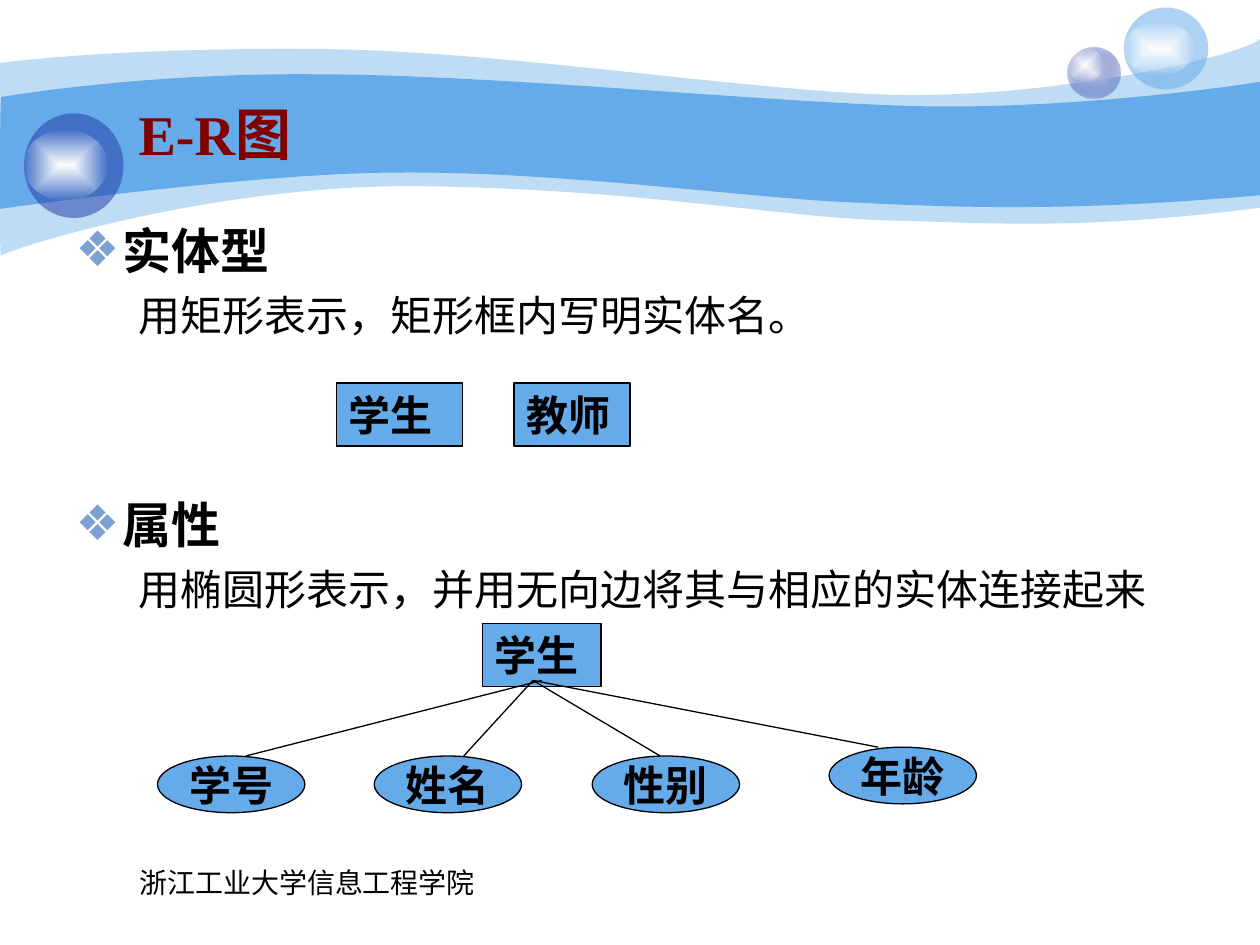
import pptx
import pptx.util
import pptx.dml.color
import pptx.enum.shapes
import pptx.enum.text
import pptx.oxml
import pptx.oxml.ns
from pptx.util import Inches

SKY, NAVY, LILAC, WHITE, BLACK = "65AAE9", "233DA9", "C7CEE9", "FFFFFF", "000000"
SERIF = "Times New Roman"
SHAPES = pptx.enum.shapes.MSO_SHAPE
ALIGN = pptx.enum.text.PP_ALIGN
ANCHOR = pptx.enum.text.MSO_ANCHOR
QN = pptx.oxml.ns.qn
NS = pptx.oxml.ns.nsdecls("a")


def color(value):
    """Turn a hex string into a colour."""
    return pptx.dml.color.RGBColor.from_string(value)


def paint(shape, value, opacity=100, line=False):
    """Give a shape a flat fill, with a thin black outline if asked."""
    shape.shadow.inherit = False
    shape.fill.solid()
    shape.fill.fore_color.rgb = color(value)
    if opacity < 100:
        tint = shape.element.spPr.find(QN("a:solidFill"))[0]
        tint.append(pptx.oxml.parse_xml(f'<a:alpha {NS} val="{opacity * 1000}"/>'))
    if line:
        shape.line.color.rgb = color(BLACK)
        shape.line.width = pptx.util.Pt(0.75)
    else:
        shape.line.fill.background()


def paint_glow(shape, inner, outer, opacity):
    """Fill a shape with a gradient that fades from its centre to its edge."""
    paint(shape, inner)
    flat = shape.element.spPr.find(QN("a:solidFill"))
    glow = pptx.oxml.parse_xml(
        f'<a:gradFill {NS} rotWithShape="1"><a:gsLst>'
        f'<a:gs pos="0"><a:srgbClr val="{inner}"/></a:gs>'
        f'<a:gs pos="100000"><a:srgbClr val="{outer}">'
        f'<a:alpha val="{opacity * 1000}"/></a:srgbClr></a:gs></a:gsLst>'
        '<a:path path="rect"><a:fillToRect l="50000" t="50000" r="50000" b="50000"/>'
        '</a:path></a:gradFill>')
    flat.getparent().replace(flat, glow)


def add_span(para, text, size, font, value=BLACK, bold=False):
    """Add one formatted run to a paragraph."""
    span = para.add_run()
    span.text = text
    span.font.size = pptx.util.Pt(size)
    span.font.name = font
    span.font.bold = bold
    span.font.color.rgb = color(value)


def add_shape(parent, kind, left, top, width, height):
    """Add a preset shape measured in inches."""
    return parent.shapes.add_shape(
        kind, Inches(left), Inches(top), Inches(width), Inches(height))


def bend(segments):
    """Turn each three line segments into one cubic curve."""
    for index in range(0, len(segments), 3):
        arc = pptx.oxml.parse_xml(f"<a:cubicBezTo {NS}/>")
        segments[index].addprevious(arc)
        for segment in segments[index:index + 3]:
            arc.append(segment[0])
            segment.getparent().remove(segment)


def add_wave(page, left, top, upper, lower, opacity):
    """Draw a ribbon bounded by an upper and a lower chain of curves."""
    places = [(Inches(left + x), Inches(top + y)) for x, y in upper + lower]
    builder = page.shapes.build_freeform(*places[0], scale=1.0)
    builder.add_line_segments(places[1:], close=True)
    wave = builder.convert_to_shape()
    segments = list(wave.element.spPr.iter(QN("a:lnTo")))
    bend(segments[:len(upper) - 1])
    bend(segments[len(upper):len(upper) + len(lower) - 1])
    paint(wave, SKY, opacity)


def add_bubble(page, left, top, width, height, shine, value, opacity, inner=None):
    """Draw a translucent ball with a highlight given as drop, width and height."""
    group = page.shapes.add_group_shape()
    ball = add_shape(group, SHAPES.OVAL, left, top, width, height)
    if inner:
        paint_glow(ball, inner, value, opacity)
    else:
        paint(ball, value, opacity)
    drop, shine_width, shine_height = shine
    light = add_shape(group, SHAPES.OVAL, left, top + drop, shine_width, shine_height)
    paint_glow(light, WHITE, WHITE, 0)


def add_backdrop(page, left, top):
    """Draw the two ribbons and three bubbles of the page header."""
    add_wave(page, left, top,
             [(0, 0.5), (0.24, 0.47), (1.07, 0.38), (2.47, 0.39), (3.86, 0.39), (5.75, 0.7),
              (6.99, 0.75), (8.22, 0.8), (9.8, 0.47), (10, 0.31)],
             [(10, 1.65), (8.58, 1.83), (7.87, 1.77), (7.05, 1.75), (6.22, 1.73), (5.15, 1.51),
              (3.43, 1.48), (1.72, 1.44), (0.04, 1.99), (0.01, 2.03), (-0.01, 2.08), (0, 0.75),
              (0, 0.5)], 41)
    add_wave(page, left, top,
             [(0.01, 0.77), (0.02, 0.77), (1.1, 0.58), (2.48, 0.59), (3.86, 0.59), (5.95, 0.8),
              (7.18, 0.84), (8.41, 0.88), (9.76, 0.69), (10, 0.65)],
             [(10, 1.55), (8.53, 1.68), (7.65, 1.65), (6.82, 1.61), (5.99, 1.58), (4.47, 1.36),
              (3.17, 1.37), (2.03, 1.37), (-0.02, 1.66), (-0.01, 1.66), (0, 1.66), (0, 0.77),
              (0.01, 0.77)], 100)
    add_bubble(page, left + 8.47, top + 0.38, 0.42, 0.4, (0, 0.28, 0.27), NAVY, 31, LILAC)
    add_bubble(page, left + 8.92, top + 0.06, 0.67, 0.65, (0.11, 0.56, 0.43), SKY, 53)
    add_bubble(page, left + 0.19, top + 0.9, 0.79, 0.83, (0.13, 0.66, 0.56), NAVY, 53)


def place_holder(holder, left, top, width, height):
    """Move a placeholder to its box, in front of what is drawn so far."""
    holder.left, holder.top = Inches(left), Inches(top)
    holder.width, holder.height = Inches(width), Inches(height)
    holder.text_frame.auto_size = pptx.enum.text.MSO_AUTO_SIZE.NONE
    holder.element.getparent().append(holder.element)


def add_title(page, left, top, width, height):
    """Fill the title placeholder."""
    title = page.shapes.title
    place_holder(title, left, top, width, height)
    title.text_frame.vertical_anchor = ANCHOR.MIDDLE
    para = title.text_frame.paragraphs[0]
    para.alignment = ALIGN.LEFT
    add_span(para, "E-R图", 32, SERIF, "800000", True)


def add_body(page, left, top, width, height):
    """Fill the body placeholder with headings and their explanations."""
    body = page.placeholders[1]
    place_holder(body, left, top, width, height)
    frame = body.text_frame
    lines = [("实体型", 0, 0), ("用矩形表示，矩形框内写明实体名。", 1, 6),
             ("属性", 0, 88), ("用椭圆形表示，并用无向边将其与相应的实体连接起来", 1, 6)]
    for index, (text, level, before) in enumerate(lines):
        para = frame.add_paragraph() if index else frame.paragraphs[0]
        para.level = level
        para.space_before = pptx.util.Pt(before)
        margin, indent = ((0.37, -0.37), (0.81, -0.31))[level]
        layout = para._p.get_or_add_pPr()
        layout.set("marL", str(Inches(margin)))
        layout.set("indent", str(Inches(indent)))
        if level:
            layout.append(pptx.oxml.parse_xml(f"<a:buNone {NS}/>"))
        else:
            layout.append(pptx.oxml.parse_xml(
                f'<a:buClr {NS}><a:srgbClr val="7DA0D3"/></a:buClr>'))
            layout.append(pptx.oxml.parse_xml(f'<a:buChar {NS} char="❖"/>'))
        add_span(para, text, (28, 24)[level], "Arial", bold=not level)


def add_node(parent, kind, text, left, top, width, height):
    """Draw an entity rectangle or an attribute ellipse with its name."""
    node = add_shape(parent, kind, left, top, width, height)
    paint(node, SKY, line=True)
    oval = kind == SHAPES.OVAL
    frame = node.text_frame
    frame.word_wrap = not oval
    frame.vertical_anchor = ANCHOR.MIDDLE if oval else ANCHOR.TOP
    para = frame.paragraphs[0]
    para.alignment = ALIGN.CENTER if oval else ALIGN.LEFT
    add_span(para, text, 24, SERIF, bold=True)


def add_diagram(page, left, top):
    """Draw an entity joined to its four attributes."""
    group = page.shapes.add_group_shape()
    add_node(group, SHAPES.RECTANGLE, "学生", left + 2.58, top, 0.94, 0.5)
    attributes = [("学号", 0, 1.05, 3.05, 0.7), ("姓名", 1.72, 1.05, 2.98, 2.43),
                  ("性别", 3.45, 1.05, 2.98, 3.99), ("年龄", 5.33, 0.98, 2.98, 5.72)]
    for text, across, down, start, end in attributes:
        add_node(group, SHAPES.OVAL, text, left + across, top + down, 1.17, 0.45)
    for text, across, down, start, end in attributes:
        edge = group.shapes.add_connector(
            pptx.enum.shapes.MSO_CONNECTOR.STRAIGHT, Inches(left + start), Inches(top + 0.45),
            Inches(left + end), Inches(top + down))
        edge.line.color.rgb = color(BLACK)
        edge.line.width = pptx.util.Pt(0.75)
        edge.element.spPr.append(pptx.oxml.parse_xml(f"<a:effectLst {NS}/>"))


def add_footer(page, left, top, width, height):
    """Write the name of the school at the foot of the page."""
    box = page.shapes.add_textbox(Inches(left), Inches(top), Inches(width), Inches(height))
    box.text_frame.word_wrap = True
    para = box.text_frame.paragraphs[0]
    para.alignment = ALIGN.CENTER
    add_span(para, "浙江工业大学信息工程学院", 16, SERIF)


def main():
    """Build and save the deck."""
    deck = pptx.Presentation()
    deck.slide_width, deck.slide_height = Inches(10), Inches(7.5)
    page = deck.slides.add_slide(deck.slide_layouts[1])
    add_backdrop(page, 0, 0)
    add_footer(page, 0.51, 6.82, 3.86, 0.52)
    add_title(page, 1, 0.75, 8.08, 0.62)
    add_body(page, 0.5, 1.7, 9, 4.92)
    add_node(page, SHAPES.RECTANGLE, "学生", 2.67, 3.04, 1, 0.5)
    add_node(page, SHAPES.RECTANGLE, "教师", 4.08, 3.04, 0.92, 0.5)
    add_diagram(page, 1.25, 4.95)
    deck.save("out.pptx")


if __name__ == "__main__":
    main()
